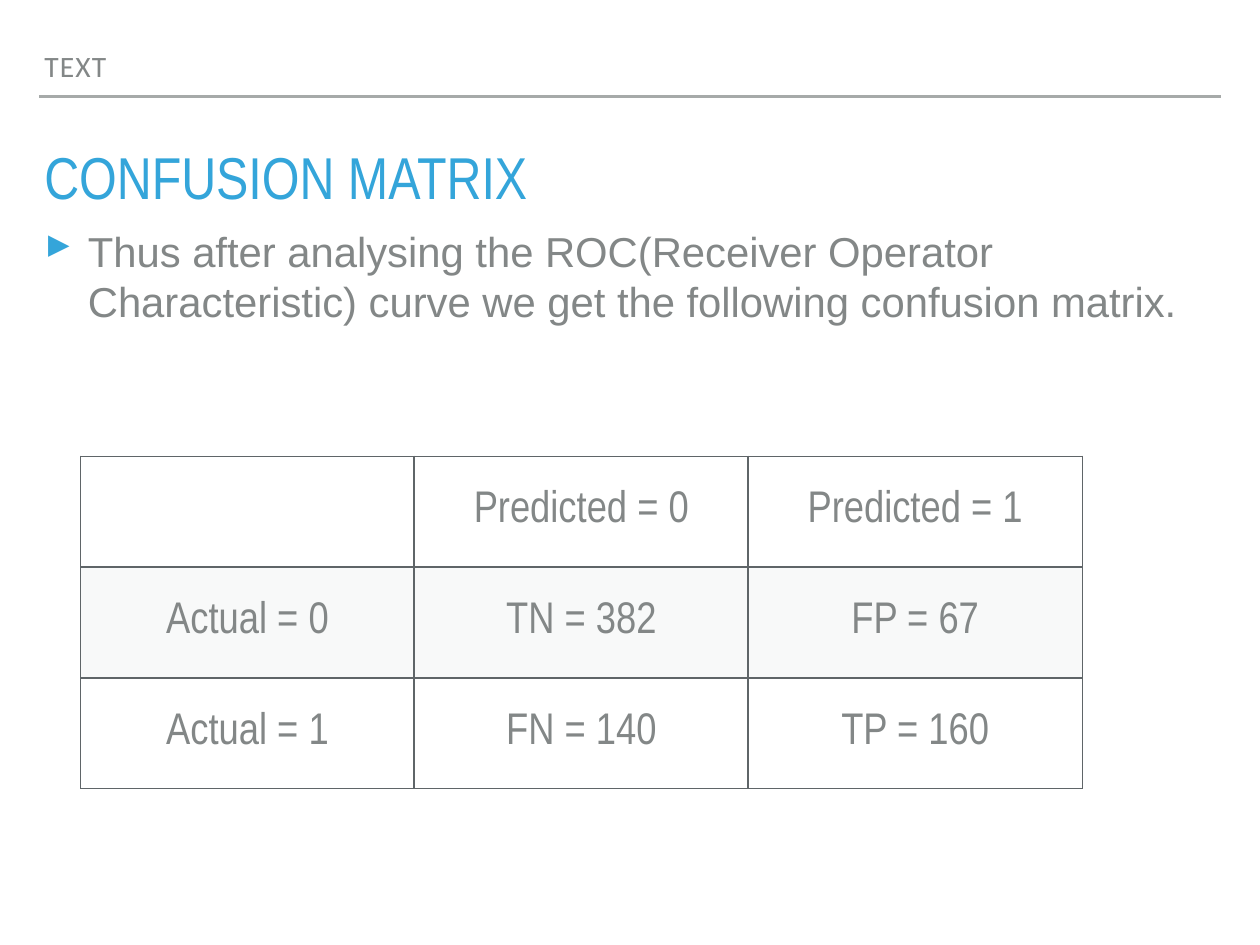
from lxml.etree import SubElement
from pptx import Presentation
from pptx.dml.color import RGBColor
from pptx.enum.shapes import MSO_CONNECTOR
from pptx.enum.text import MSO_ANCHOR, MSO_AUTO_SIZE, PP_ALIGN
from pptx.oxml.ns import qn
from pptx.util import Cm, Pt

BLUE = RGBColor(0x34, 0xA5, 0xDA)
GREY = RGBColor(0x83, 0x87, 0x87)
RULE = RGBColor(0xA6, 0xAA, 0xA9)
BORDER = RGBColor(0x5F, 0x65, 0x68)
BAND = RGBColor(0xDC, 0xDE, 0xE0)
BAND_ALPHA = 18

HEADER = "TEXT"
TITLE = "CONFUSION MATRIX"
BODY = ("Thus after analysing the ROC(Receiver Operator Characteristic) "
        "curve we get the following confusion matrix.")
MATRIX = [
    ["", "Predicted = 0", "Predicted = 1"],
    ["Actual = 0", "TN = 382", "FP = 67"],
    ["Actual = 1", "FN = 140", "TP = 160"],
]

HEADER_FONT = {"name": "Calibri", "size": Pt(24), "color": GREY}
TITLE_FONT = {"name": "Arial Narrow", "size": Pt(48), "color": BLUE}
BODY_FONT = {"name": "Arial", "size": Pt(34), "color": GREY}
CELL_FONT = {"name": "Arial Narrow", "size": Pt(36), "color": GREY}

LEFT, WIDTH = 1.12, 33.87
INSET = Cm(0.15)
MARGINS = ("margin_left", "margin_right", "margin_top", "margin_bottom")
COL_W, ROW_H = 9.57, 3.18


def set_attrs(obj, values):
    for key, value in values.items():
        setattr(obj, key, value)


def write(tf, text, font, **para):
    p = tf.paragraphs[0]
    set_attrs(p, {"alignment": PP_ALIGN.LEFT, **para})
    r = p.add_run()
    r.text = text
    for key, value in font.items():
        if key == "color":
            r.font.color.rgb = value
        else:
            setattr(r.font, key, value)
    return p


def fill_box(sp, text, font, anchor=MSO_ANCHOR.TOP, **para):
    tf = sp.text_frame
    set_attrs(tf, {"word_wrap": True, "auto_size": MSO_AUTO_SIZE.NONE,
                   "vertical_anchor": anchor, **dict.fromkeys(MARGINS, INSET)})
    return write(tf, text, font, **para)


def add_bullet(p, char, color, percent, indent):
    pPr = p._p.get_or_add_pPr()
    pPr.set("marL", str(indent))
    pPr.set("indent", str(-indent))
    clr = SubElement(pPr, qn("a:buClr"))
    SubElement(clr, qn("a:srgbClr"), val=str(color))
    SubElement(pPr, qn("a:buSzPct"), val=str(percent * 1000))
    SubElement(pPr, qn("a:buChar"), char=char)


def add_border(cell, side, width):
    ln = SubElement(cell._tc.get_or_add_tcPr(), qn(f"a:ln{side}"), w=str(width))
    fill = SubElement(ln, qn("a:solidFill"))
    SubElement(fill, qn("a:srgbClr"), val=str(BORDER))


def add_matrix(s):
    n_rows, n_cols = len(MATRIX), len(MATRIX[0])
    table = s.shapes.add_table(n_rows, n_cols, Cm(2.31), Cm(13.08),
                               Cm(COL_W * n_cols), Cm(ROW_H * n_rows)).table
    set_attrs(table, {"first_row": False, "horz_banding": False})
    for i, row in enumerate(MATRIX):
        table.rows[i].height = Cm(ROW_H)
        for j, text in enumerate(row):
            table.columns[j].width = Cm(COL_W)
            cell = table.cell(i, j)
            set_attrs(cell, {"vertical_anchor": MSO_ANCHOR.MIDDLE,
                             **dict.fromkeys(MARGINS, INSET)})
            outer = {"L": j == 0, "R": j == n_cols - 1,
                     "T": i == 0, "B": i == n_rows - 1}
            for side, is_outer in outer.items():
                add_border(cell, side, Pt(1 if is_outer else 2))
            if i % 2:
                cell.fill.solid()
                cell.fill.fore_color.rgb = BAND
                clr = cell._tc.tcPr.find(qn("a:solidFill")).find(qn("a:srgbClr"))
                SubElement(clr, qn("a:alpha"), val=str(BAND_ALPHA * 1000))
            else:
                cell.fill.background()
            if text:
                write(cell.text_frame, text, CELL_FONT,
                      alignment=PP_ALIGN.CENTER, space_before=Pt(24))


def main():
    prs = Presentation()
    prs.slide_width, prs.slide_height = Cm(36.12), Cm(27.1)
    s = prs.slides.add_slide(prs.slide_layouts[5])

    rule = s.shapes.add_connector(MSO_CONNECTOR.STRAIGHT,
                                  Cm(LEFT), Cm(2.77), Cm(35), Cm(2.77))
    rule.line.color.rgb = RULE
    rule.line.width = Pt(2)
    SubElement(rule._element.spPr, qn("a:effectLst"))

    header = s.shapes.add_textbox(Cm(LEFT), Cm(1.27), Cm(31.04), Cm(1.27))
    p = fill_box(header, HEADER, HEADER_FONT, MSO_ANCHOR.BOTTOM, line_spacing=0.8)
    p.runs[0].font._element.set("spc", "100")

    title = s.shapes.title
    set_attrs(title, {"left": Cm(LEFT), "top": Cm(4.27),
                      "width": Cm(WIDTH), "height": Cm(2.01)})
    fill_box(title, TITLE, TITLE_FONT, line_spacing=0.8, space_before=Pt(22))

    body = s.shapes.add_textbox(Cm(LEFT), Cm(6.32), Cm(WIDTH), Cm(16.97))
    p = fill_box(body, BODY, BODY_FONT, space_before=Pt(28))
    add_bullet(p, "▸", BLUE, 105, Cm(1.25))

    add_matrix(s)
    prs.save("out.pptx")


if __name__ == "__main__":
    main()
